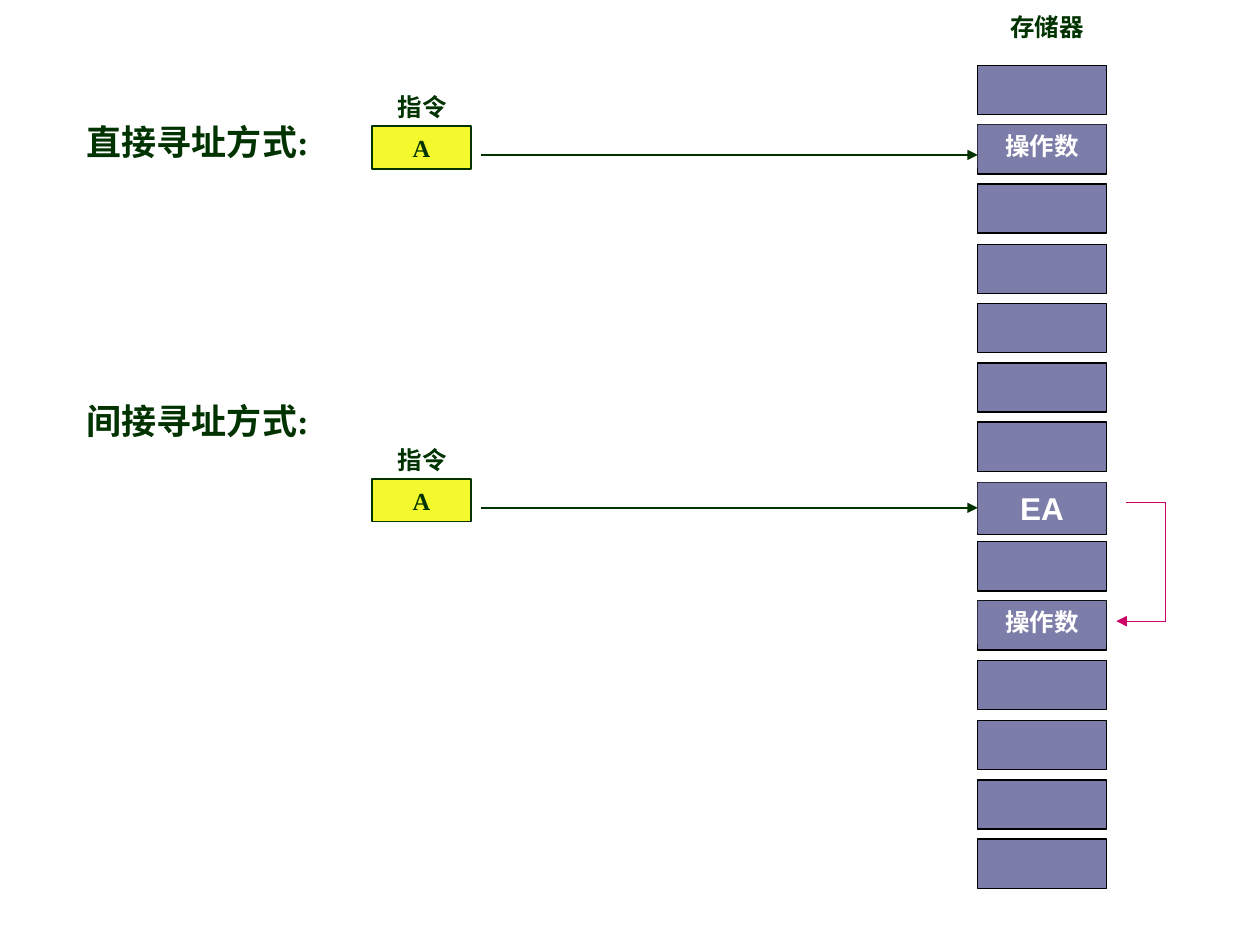
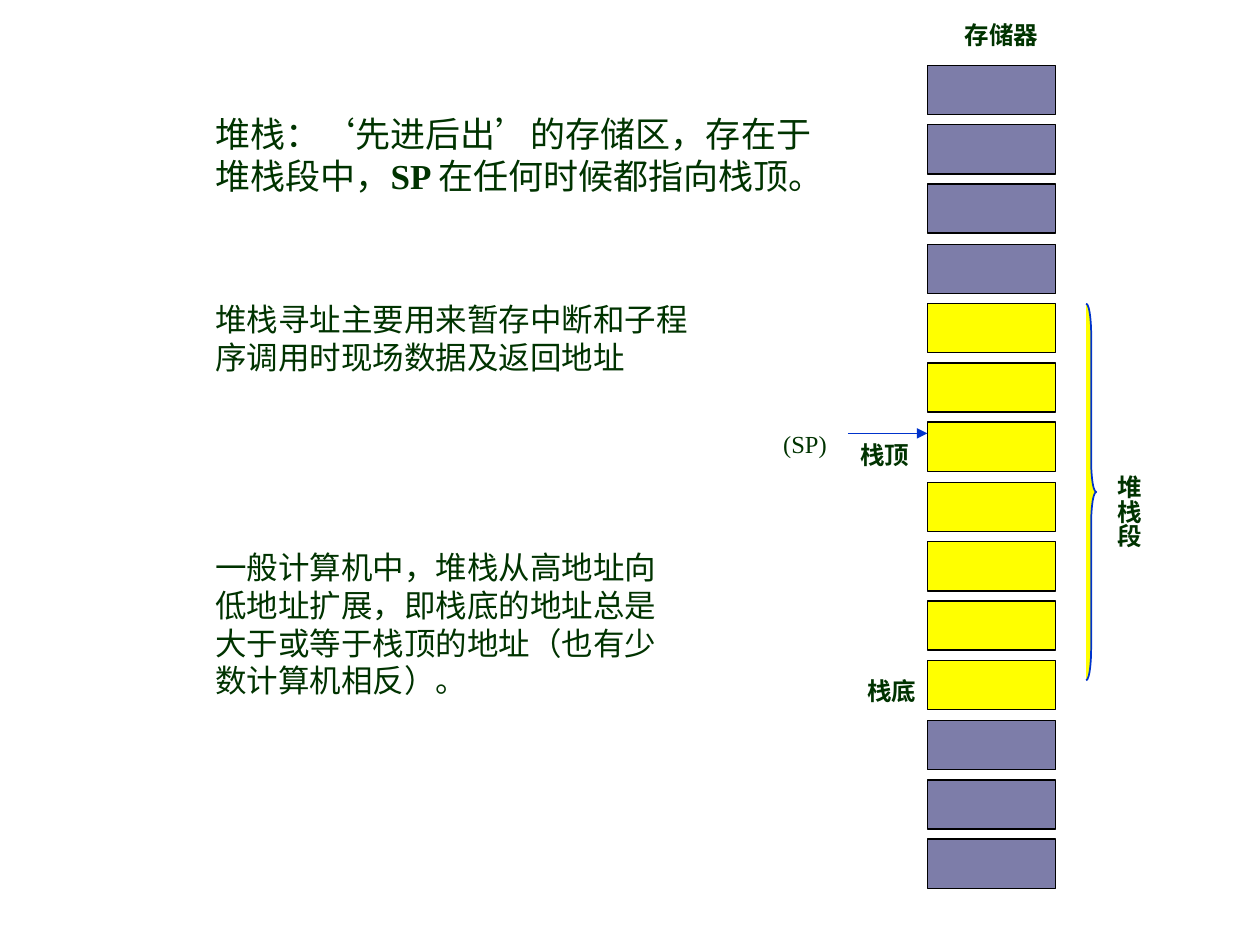
from itertools import pairwise

from lxml.etree import SubElement
from pptx import Presentation
from pptx.dml.color import RGBColor
from pptx.enum.lang import MSO_LANGUAGE_ID
from pptx.enum.shapes import MSO_CONNECTOR, MSO_SHAPE
from pptx.enum.text import MSO_ANCHOR, MSO_AUTO_SIZE, PP_ALIGN
from pptx.oxml.ns import qn
from pptx.util import Emu, Pt

PX = 9144  # 100 px to the inch
COLORS = {
    "ink": "003300", "white": "FFFFFF", "black": "000000", "memory": "7D7DA9",
    "instruction": "F4F92D", "stack": "FFFF00", "blue": "0033CC", "pink": "CC0066",
}
SERIF, SANS = "Times New Roman", "Arial"
LEFT, CENTER, RIGHT = PP_ALIGN.LEFT, PP_ALIGN.CENTER, PP_ALIGN.RIGHT
CELL_COUNT, CELL_W, CELL_H = 14, 102, 39
FIRST_CELL, LAST_CELL = 52, 666


def px(*lengths):
    return [Emu(n * PX) for n in lengths]


def rgb(name):
    return RGBColor.from_string(COLORS[name])


def cell_top(row):
    return round(FIRST_CELL + row * (LAST_CELL - FIRST_CELL) / (CELL_COUNT - 1))


def write(sp, text, size=14, color="ink", bold=True, font=SERIF, align=LEFT,
          anchor=MSO_ANCHOR.TOP, vertical=False):
    """Fill a shape with one paragraph; text is a string or (string, bold) runs."""
    tf = sp.text_frame
    tf.word_wrap = True
    tf.auto_size = MSO_AUTO_SIZE.SHAPE_TO_FIT_TEXT
    tf.vertical_anchor = anchor
    side, end = px(5, 10) if vertical else px(10, 5)
    tf.margin_left = tf.margin_right = side
    tf.margin_top = tf.margin_bottom = end
    if vertical:
        tf._txBody.bodyPr.set("vert", "eaVert")
    p = tf.paragraphs[0]
    p.alignment = align
    for part, is_bold in [(text, bold)] if isinstance(text, str) else text:
        r = p.add_run()
        r.text = part
        r.font.name, r.font.size, r.font.bold = font, Pt(size), is_bold
        r.font.color.rgb = rgb(color)
        r.font.language_id = MSO_LANGUAGE_ID.SIMPLIFIED_CHINESE


class Deck:
    def __init__(self):
        self.prs = Presentation()
        self.prs.slide_width, self.prs.slide_height = px(1000, 750)

    def new_slide(self):
        self.s = self.prs.slides.add_slide(self.prs.slide_layouts[6])

    def shape(self, x, y, w, h, fill, line=None, width=1, kind=MSO_SHAPE.RECTANGLE):
        sp = self.s.shapes.add_shape(kind, *px(x, y, w, h))
        sp.shadow.inherit = False
        sp.fill.solid()
        sp.fill.fore_color.rgb = rgb(fill)
        if line:
            sp.line.color.rgb = rgb(line)
            sp.line.width = Pt(width)
        else:
            sp.line.fill.background()
        return sp

    def text(self, x, y, w, h, text, **style):
        write(self.s.shapes.add_textbox(*px(x, y, w, h)), text, **style)

    def arrow(self, *points, color="ink", width=1):
        """Join the points with straight lines, with a head at the last point."""
        for start, end in pairwise(points):
            cx = self.s.shapes.add_connector(MSO_CONNECTOR.STRAIGHT, *px(*start, *end))
            cx.line.color.rgb = rgb(color)
            cx.line.width = Pt(width)
            if end == points[-1]:
                SubElement(cx.line._get_or_add_ln(), qn("a:tailEnd"), type="triangle")
            SubElement(cx._element.spPr, qn("a:effectLst"))

    def memory(self, x, stack_rows=(), tall_rows=()):
        for row in range(CELL_COUNT):
            self.shape(x, cell_top(row), CELL_W, CELL_H + 2 * (row in tall_rows),
                       "stack" if row in stack_rows else "memory", "black", 0.75)

    def cell_label(self, x, row, text, h=34, **style):
        sp = self.shape(x, cell_top(row), CELL_W, h, "memory")
        write(sp, text, color="white", align=CENTER, **style)

    def instruction(self, y, memory_x):
        """Yellow address box with its caption and the arrow into memory."""
        self.text(280, y - 32, 110, 34, "指令", align=CENTER)
        sp = self.shape(295, y, 79, 34, "instruction", "ink")
        write(sp, "A", align=CENTER, anchor=MSO_ANCHOR.MIDDLE)
        self.arrow((382, y + 23), (memory_x, y + 23))


def addressing_slide(deck):
    deck.new_slide()
    x = 776
    deck.memory(x, tall_rows=(7,))
    deck.text(x, 5, 110, 34, "存储器", align=CENTER)
    for y, heading in ((91, "直接寻址方式:"), (312, "间接寻址方式:")):
        deck.text(59, y, 252, 44, heading, size=20)
    for y in (100, 380):
        deck.instruction(y, x)
    for row in (1, 9):
        deck.cell_label(x, row, "操作数")
    deck.cell_label(x, 7, "EA", h=40, size=18, font=SANS)
    deck.arrow((894, 399), (925, 399), (925, 493), (886, 493), color="pink", width=0.75)


def stack_slide(deck):
    deck.new_slide()
    x = 736
    deck.memory(x, stack_rows=range(4, 11))
    deck.text(744, 11, 102, 34, "存储器", align=CENTER)

    brace = deck.shape(862, 241, 8, 299, "stack", "blue", kind=MSO_SHAPE.RIGHT_BRACE)
    brace.adjustments[0] = 3.12
    deck.text(870, 367, 43, 134, "堆栈段", vertical=True)

    deck.text(650, 532, 87, 34, "栈底", align=RIGHT)
    deck.arrow((673, 344), (x, 344), color="blue")
    deck.text(587, 336, 79, 34, "(SP)", bold=False, align=RIGHT)
    deck.text(673, 344, 63, 34, "栈顶")

    definition = [("堆栈：‘先进后出’的存储区，存在于堆栈段中，", False),
                  ("SP ", True), ("在任何时候都指向栈顶。", False)]
    deck.text(161, 84, 500, 128, definition, size=20)
    notes = [
        (233, 409, 70, "堆栈寻址主要用来暂存中断和子程序调用时现场数据及返回地址"),
        (430, 370, 130, "一般计算机中，堆栈从高地址向低地址扩展，即栈底的地址总是"
                        "大于或等于栈顶的地址（也有少数计算机相反）。"),
    ]
    for y, w, h, note in notes:
        deck.text(161, y, w, h, note, size=18, bold=False, font=SANS)


def main():
    deck = Deck()
    addressing_slide(deck)
    stack_slide(deck)
    deck.prs.save("out.pptx")


if __name__ == "__main__":
    main()
